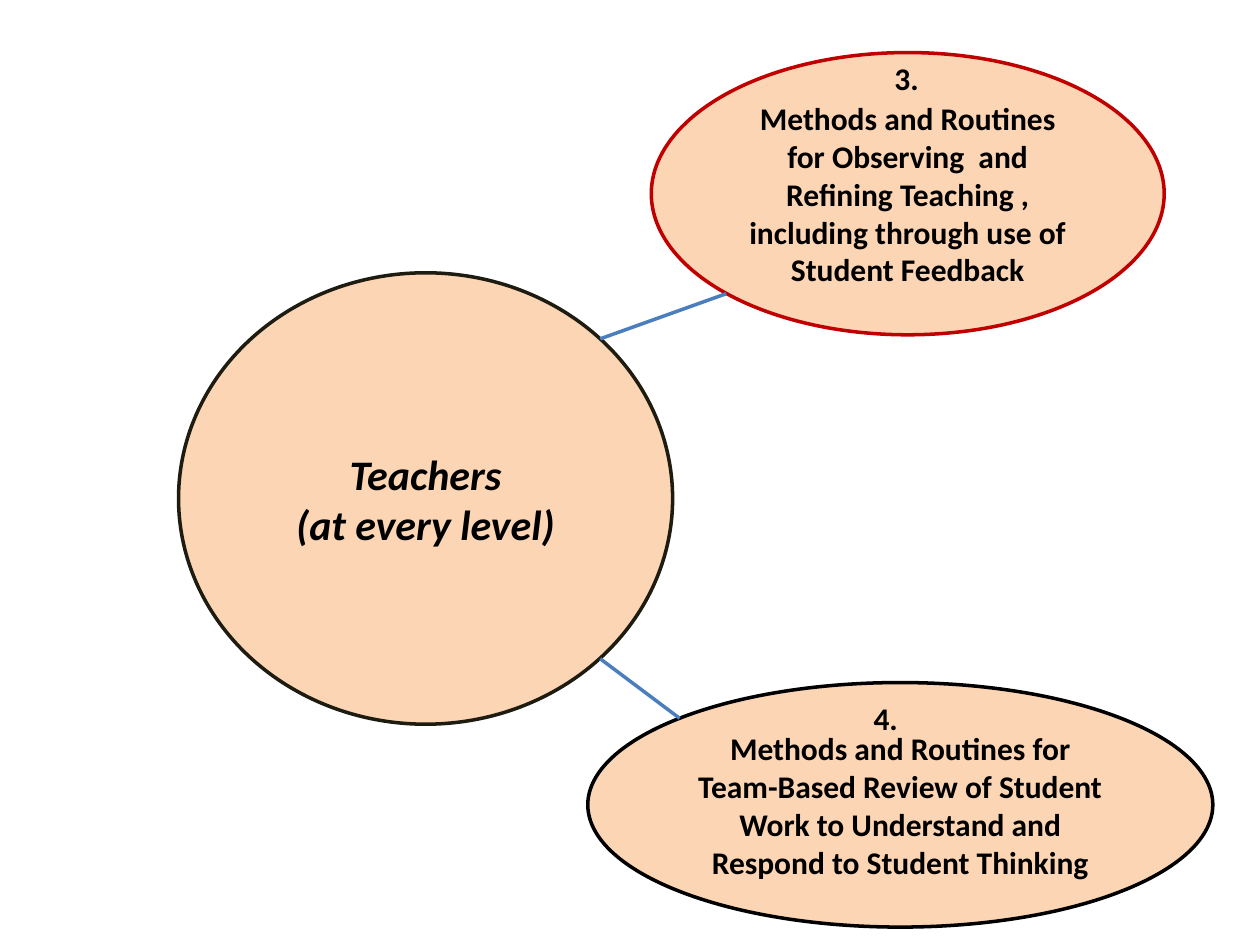
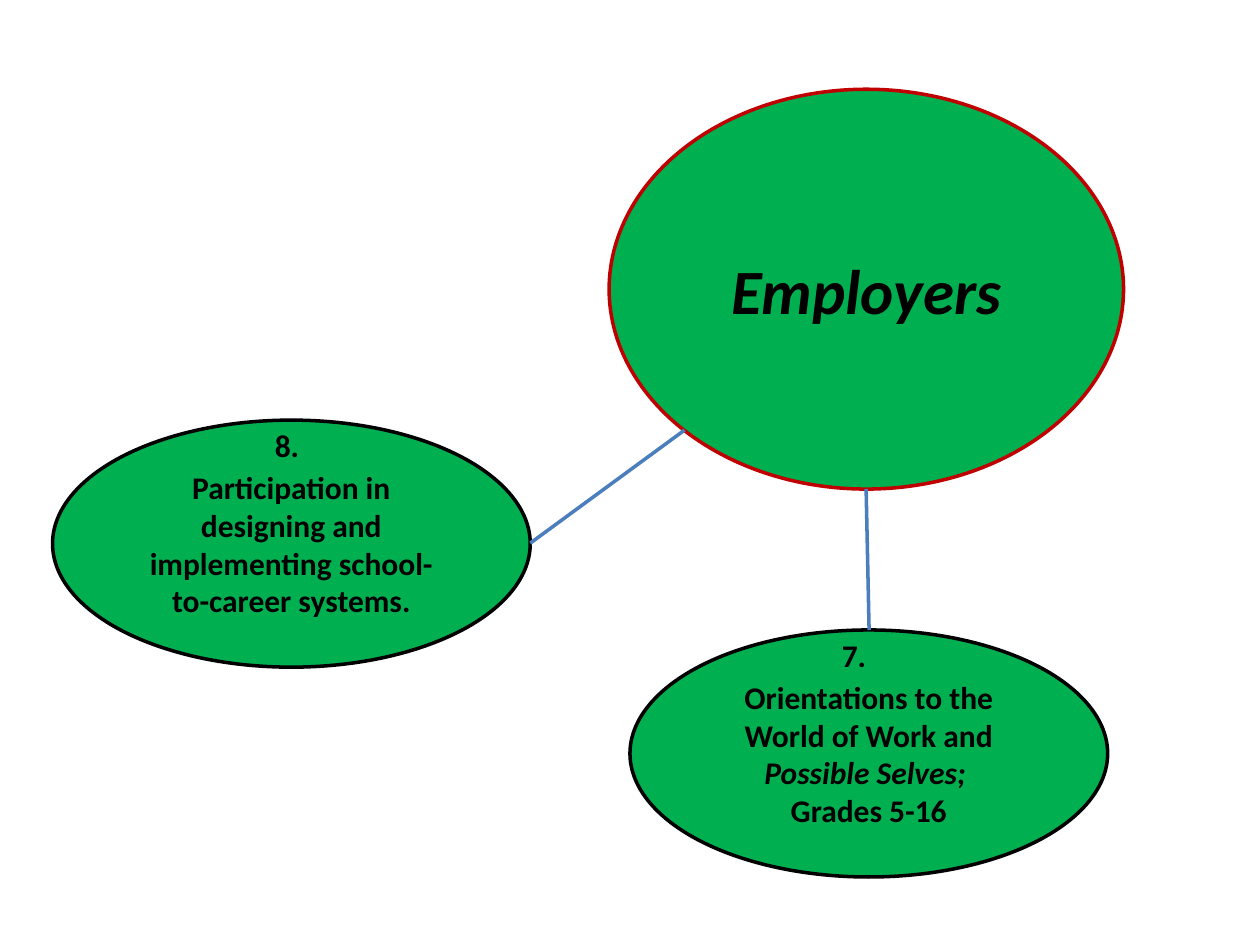
from pptx import Presentation
from pptx.dml.color import RGBColor
from pptx.enum.shapes import MSO_CONNECTOR, MSO_SHAPE
from pptx.enum.text import MSO_ANCHOR, PP_ALIGN
from pptx.oxml.ns import qn
from pptx.util import Cm, Pt
from lxml import etree

PEACH = RGBColor(0xFC, 0xD5, 0xB5)
GREEN = RGBColor(0x00, 0xB0, 0x50)
RED = RGBColor(0xC0, 0x00, 0x00)
BLUE = RGBColor(0x4B, 0x7E, 0xBC)
DARK = RGBColor(0x1E, 0x1C, 0x11)
BLACK = RGBColor(0x00, 0x00, 0x00)
LINE_WIDTH = Pt(2)


def write_text(shape, lines, size, italic=False, align=PP_ALIGN.CENTER):
    """Fill a shape with bold lines; each line is a list of (text, italic) runs or a string."""
    frame = shape.text_frame
    frame.word_wrap = True
    for index, line in enumerate(lines):
        paragraph = frame.add_paragraph() if index else frame.paragraphs[0]
        paragraph.alignment = align
        font = paragraph.font
        font.name, font.size, font.bold = "Calibri", Pt(size), True
        font.color.rgb = BLACK
        if isinstance(line, str):
            font.italic = italic
            paragraph.add_run().text = line
            continue
        for text, run_italic in line:
            run = paragraph.add_run()
            run.text = text
            run.font.italic = run_italic


# Each ellipse: left, top, width, height, outline, lines, size, italic
# Each number: left, top, width, text; each link: from x, y to x, y
diagrams = [
    {
        "fill": PEACH,
        "ellipses": [
            (3.6, 5.5, 9.96, 9.1, DARK, ["Teachers", "(at every level)"], 24, True),
            (11.85, 13.76, 12.6, 4.93, BLACK,
             ["Methods and Routines for Team-Based Review of Student Work "
              "to Understand and Respond to Student Thinking"], 18, False),
            (13.13, 1.06, 10.34, 5.69, RED,
             ["Methods and Routines for Observing  and Refining Teaching , "
              "including through use of Student Feedback"], 18, False),
        ],
        "numbers": [(17.78, 1.06, 2.12, "3."), (17.36, 13.97, 2.12, "4.")],
        "links": [(12.1, 6.83, 14.64, 5.92), (12.1, 13.28, 13.7, 14.48)],
    },
    {
        "fill": GREEN,
        "ellipses": [
            (12.28, 1.8, 10.37, 8.06, RED, ["Employers"], 36, True),
            (12.7, 12.7, 9.63, 4.98, BLACK,
             [[("Orientations to the World of Work and ", False), ("Possible Selves; ", True)],
              "Grades 5-16"], 18, False),
            (1.06, 8.47, 9.63, 4.98, BLACK,
             ["Participation in designing and implementing school-to-career systems."],
             18, False),
        ],
        "numbers": [(16.72, 12.7, 1.75, "7."), (5.29, 8.47, 1.75, "8.")],
        "links": [(17.46, 9.86, 17.52, 12.7), (13.8, 8.67, 10.69, 10.95)],
    },
]

presentation = Presentation()
presentation.slide_width, presentation.slide_height = Cm(25.4), Cm(19.05)

for diagram in diagrams:
    slide = presentation.slides.add_slide(presentation.slide_layouts[6])

    # Central group and its activities
    for left, top, width, height, outline, lines, size, italic in diagram["ellipses"]:
        ellipse = slide.shapes.add_shape(
            MSO_SHAPE.OVAL, Cm(left), Cm(top), Cm(width), Cm(height))
        ellipse.shadow.inherit = False
        ellipse.fill.solid()
        ellipse.fill.fore_color.rgb = diagram["fill"]
        ellipse.line.color.rgb = outline
        ellipse.line.width = LINE_WIDTH
        ellipse.text_frame.vertical_anchor = MSO_ANCHOR.MIDDLE
        write_text(ellipse, lines, size, italic)

    # Activity numbers
    for left, top, width, number in diagram["numbers"]:
        label = slide.shapes.add_textbox(Cm(left), Cm(top), Cm(width), Cm(1.02))
        write_text(label, [number], 18, align=PP_ALIGN.LEFT)

    # Links from the group to its activities
    for link in diagram["links"]:
        connector = slide.shapes.add_connector(
            MSO_CONNECTOR.STRAIGHT, *[Cm(value) for value in link])
        connector.line.color.rgb = BLUE
        connector.line.width = LINE_WIDTH
        properties = connector._element.find(qn("p:spPr"))
        etree.SubElement(properties, qn("a:effectLst"))

presentation.save("out.pptx")
